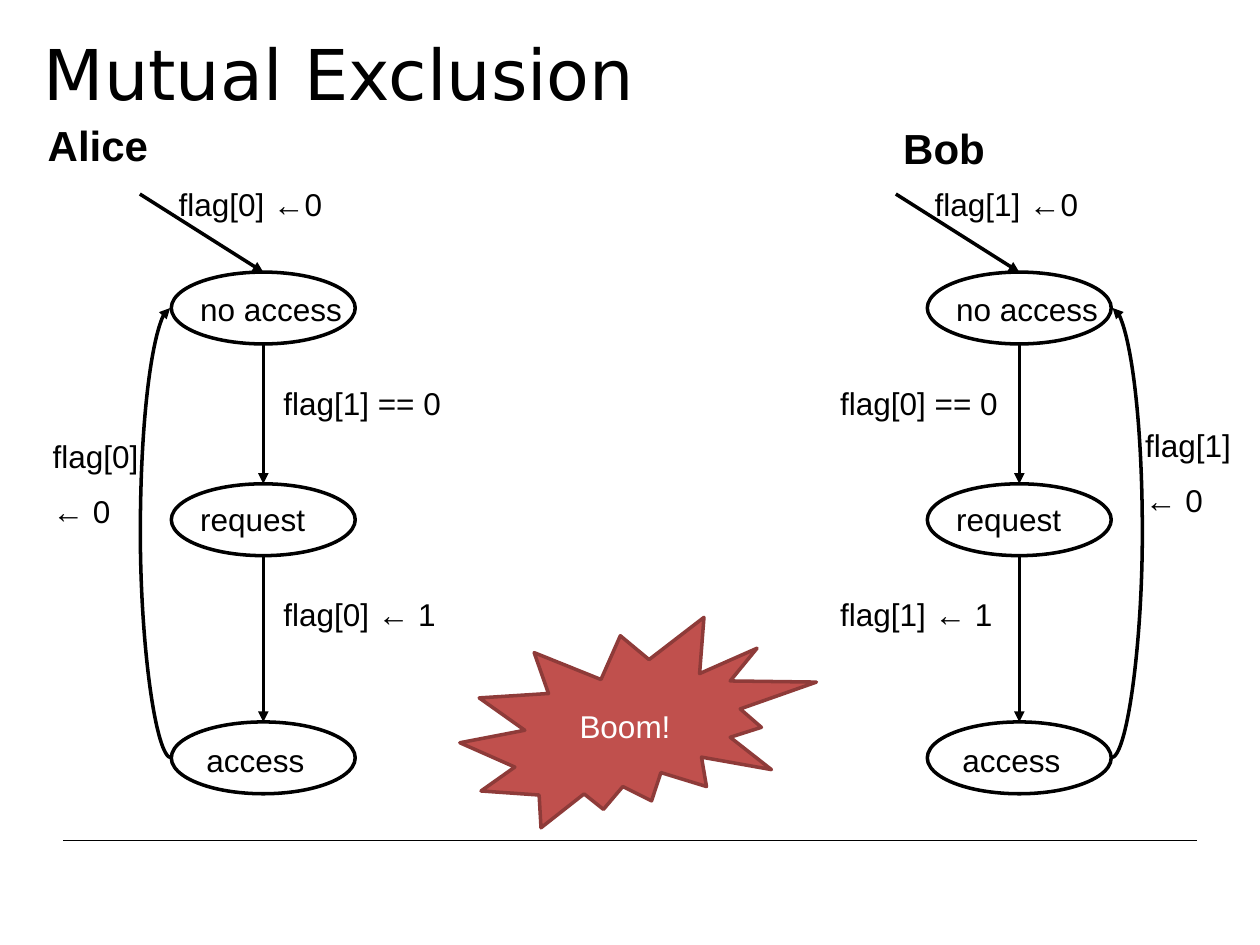
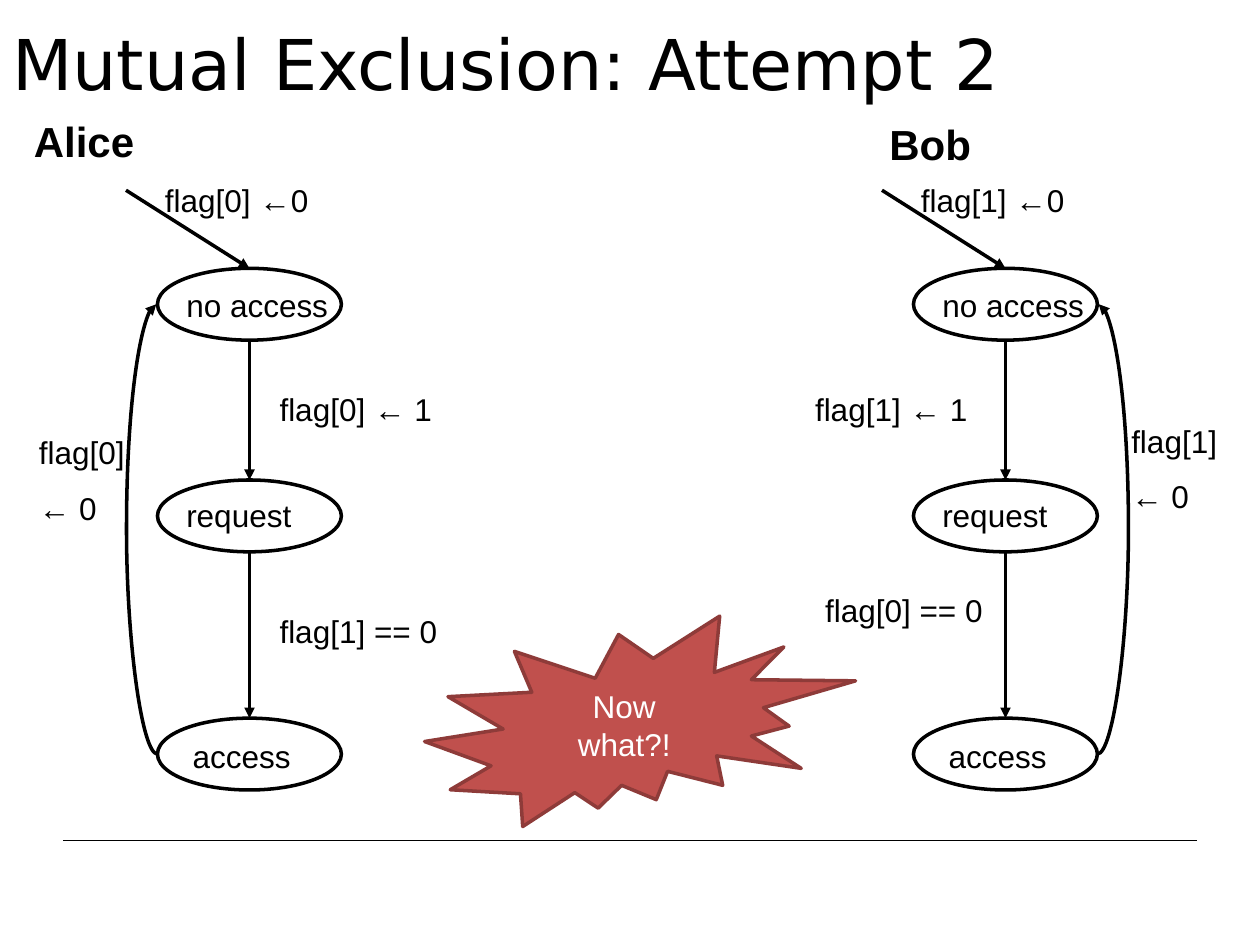
from lxml import etree
from pptx import Presentation
from pptx.dml.color import RGBColor
from pptx.enum import shapes, text
from pptx.oxml import ns
from pptx import util as u

THEME = dict(
    ink="000000", paper="FFFFFF", boom="C0504D", rim="8E3B39",
    head="DejaVu Sans", body="Arial",
    title=40, name=24, label=18, stroke=2, rule=0.5,
)

# Each step label is (words, left, top).
SLIDES = [
    dict(
        title="Mutual Exclusion", spot=(0.25, -0.05), shift=(0, 0),
        steps=[
            ("flag[1] == 0", 2.15, 3.08), ("flag[0] ← 1", 2.15, 4.67),
            ("flag[0] == 0", 6.57, 3.08), ("flag[1] ← 1", 6.57, 4.67),
        ],
        burst="Boom!", box=(3.65, 4.9, 2.83, 1.67),
    ),
    dict(
        title="Mutual Exclusion: Attempt 2", spot=(0, -0.13), shift=(-0.11, -0.03),
        steps=[
            ("flag[0] ← 1", 2.12, 3.05), ("flag[1] == 0", 2.12, 4.89),
            ("flag[1] ← 1", 6.37, 3.05), ("flag[0] == 0", 6.45, 4.72),
        ],
        burst="Now what?!", box=(3.37, 4.89, 3.42, 1.67),
    ),
]

# "left" is the left edge of the state ovals; "side" is where the loop runs.
ACTORS = [
    dict(name="Alice", flag="flag[0]", left=1.36, side=-1,
         sign=(0.28, 0.9), reset=(0.32, 3.42)),
    dict(name="Bob", flag="flag[1]", left=7.36, side=1,
         sign=(7.07, 0.92), reset=(8.99, 3.33)),
]

# State: (words, oval top, text indent, text drop)
STATES = [
    ("no access", 2.16, 0.13, 0.09),
    ("request", 3.84, 0.13, 0.08),
    ("access", 5.73, 0.18, 0.1),
]
OVAL = (1.46, 0.57)
BULGE, THIN = 0.25, 0.01


def tint(key):
    return RGBColor.from_string(THEME[key])


def fill_text(frame, lines, size="label", font="body", color="ink", bold=None, **form):
    for i, line in enumerate(lines):
        para = frame.paragraphs[0] if i == 0 else frame.add_paragraph()
        if i:
            para.space_before = u.Pt(10)
        for key, value in form.items():
            setattr(para, key, value)
        run = para.add_run()
        run.text = line
        looks = dict(size=u.Pt(THEME[size]), name=THEME[font], bold=bold)
        for key, value in looks.items():
            setattr(run.font, key, value)
        run.font.color.rgb = tint(color)


def add_text(slide, lines, x, y, w=1.62, h=0.4, anchor=text.MSO_ANCHOR.TOP, **form):
    frame = slide.shapes.add_textbox(*map(u.Inches, (x, y, w, h))).text_frame
    frame.word_wrap = True
    frame.vertical_anchor = anchor
    fill_text(frame, lines, **form)


def add_form(slide, kind, box, fill, edge):
    form = slide.shapes.add_shape(kind, *map(u.Inches, box))
    form.shadow.inherit = False
    form.fill.solid()
    form.fill.fore_color.rgb = tint(fill)
    form.line.color.rgb = tint(edge)
    form.line.width = u.Pt(THEME["stroke"])
    return form


def add_line(slide, ends, kind=shapes.MSO_CONNECTOR.STRAIGHT, width="stroke", arrow=True):
    line = slide.shapes.add_connector(kind, *map(u.Inches, ends))
    line.line.color.rgb = tint("ink")
    line.line.width = u.Pt(THEME[width])
    if arrow:
        etree.SubElement(line.line._get_or_add_ln(), ns.qn("a:tailEnd"), type="triangle")
    etree.SubElement(line._element.spPr, ns.qn("a:effectLst"))
    return line


def add_loop(slide, x, low, high, side):
    """Curve from the low state up to the high one, bowed out to one side."""
    # The left loop is the right one turned by half a circle.
    ends = (x, low, x + THIN, high) if side > 0 else (x - THIN, high, x, low)
    props = add_line(slide, ends, shapes.MSO_CONNECTOR.CURVE)._element.spPr
    if side < 0:
        props.find(ns.qn("a:xfrm")).set("rot", str(180 * 60000))
    guides = props.find(ns.qn("a:prstGeom")).find(ns.qn("a:avLst"))
    bow = round(BULGE / THIN * 100000)
    etree.SubElement(guides, ns.qn("a:gd"), name="adj1", fmla=f"val {bow}")


def add_actor(slide, actor, dx, dy):
    left, side, flag = actor["left"] + dx, actor["side"], actor["flag"]
    wide, tall = OVAL
    mid = left + wide / 2
    tops = [top + dy for _, top, _, _ in STATES]
    for top in tops:
        add_form(slide, shapes.MSO_SHAPE.OVAL, (left, top, wide, tall), "paper", "ink")
    for top, below in zip(tops, tops[1:]):
        add_line(slide, (mid, top + tall, mid, below))
    add_line(slide, (left - 0.25, tops[0] - 0.62, mid, tops[0]))
    edge = left if side < 0 else left + wide
    add_loop(slide, edge, tops[-1] + tall / 2, tops[0] + tall / 2, side)
    for (words, _, indent, drop), top in zip(STATES, tops):
        add_text(slide, [words], left + indent, top + drop)
    add_text(slide, [f"{flag} ←0"], left - 0.04, tops[0] - 0.74)
    x, y = actor["reset"]
    add_text(slide, [flag, "← 0"], x + dx, y + dy, 0.92, 0.86)
    x, y = actor["sign"]
    add_text(slide, [actor["name"]], x + dx, y + dy, 1.29, 0.5, size="name", bold=True)


def add_slide(deck, page):
    slide = deck.slides.add_slide(deck.slide_layouts[6])
    add_line(slide, (0.5, 6.67, 9.5, 6.67), width="rule", arrow=False)
    add_text(slide, [page["title"]], *page["spot"], 9, 1.25,
             anchor=text.MSO_ANCHOR.MIDDLE, size="title", font="head")
    for actor in ACTORS:
        add_actor(slide, actor, *page["shift"])
    for words, x, y in page["steps"]:
        tight = {"line_spacing": 0.7} if "==" in words else {}
        add_text(slide, [words], x, y, 1.55, **tight)
    burst = add_form(slide, shapes.MSO_SHAPE.EXPLOSION2, page["box"], "boom", "rim")
    burst.text_frame.vertical_anchor = text.MSO_ANCHOR.MIDDLE
    fill_text(burst.text_frame, [page["burst"]], color="paper",
              alignment=text.PP_ALIGN.CENTER)


def main():
    deck = Presentation()
    deck.slide_width, deck.slide_height = u.Inches(10), u.Inches(7.5)
    for page in SLIDES:
        add_slide(deck, page)
    deck.save("out.pptx")


if __name__ == "__main__":
    main()
